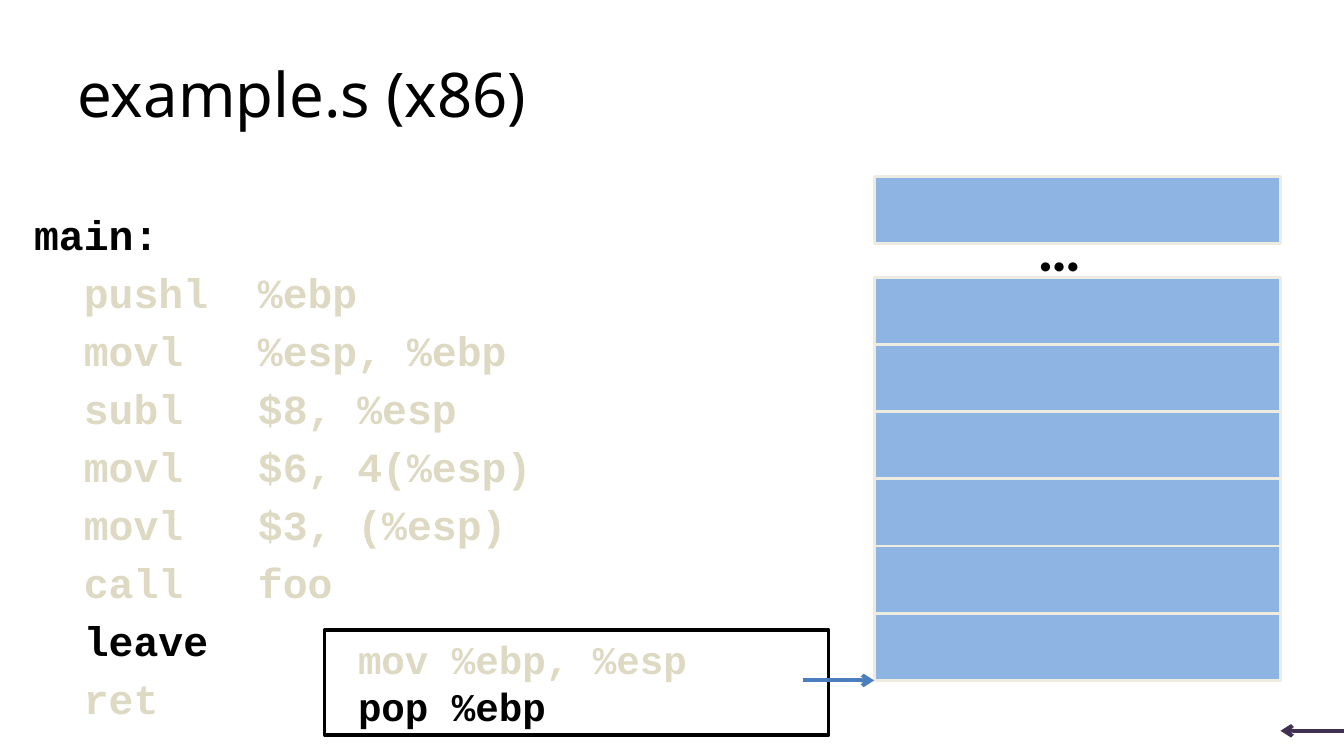
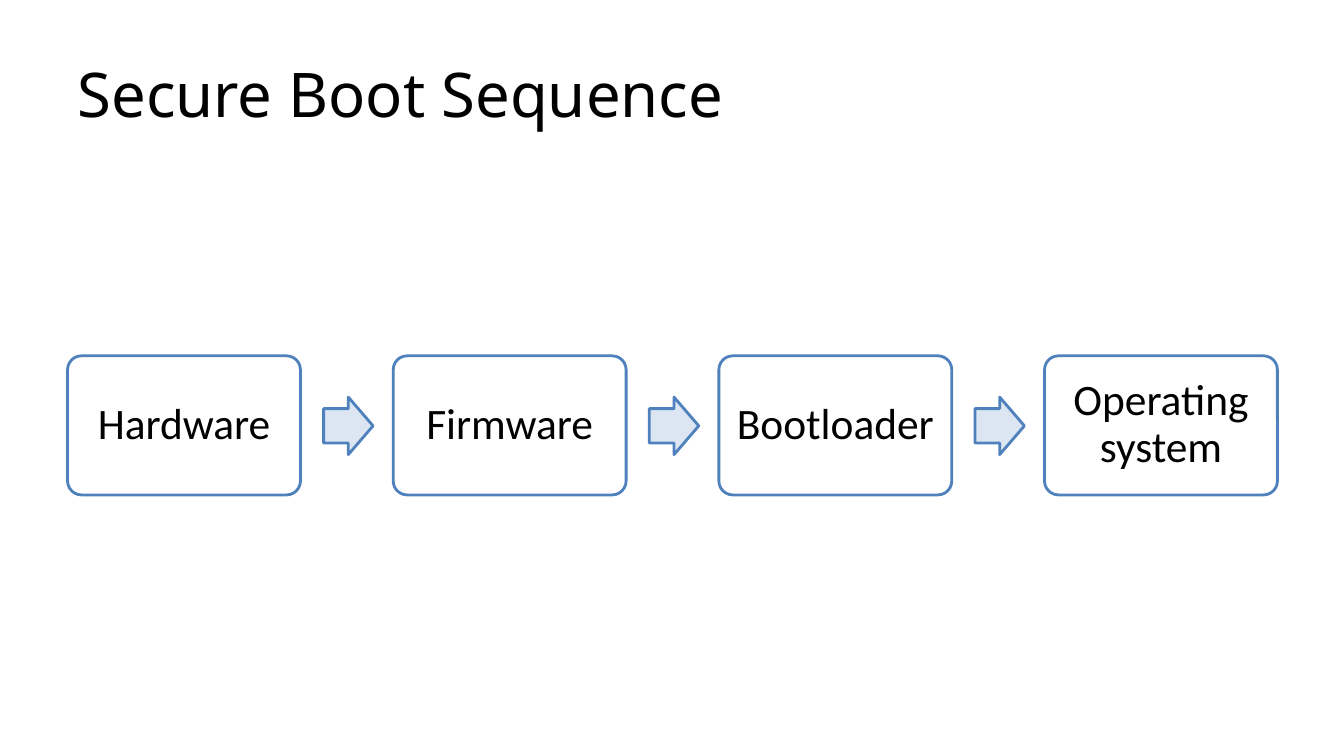
from dataclasses import dataclass

from lxml.etree import SubElement
from pptx import Presentation
from pptx.dml.color import RGBColor
from pptx.enum.shapes import MSO_CONNECTOR, MSO_SHAPE
from pptx.enum.text import MSO_ANCHOR, PP_ALIGN
from pptx.oxml.ns import qn
from pptx.util import Inches, Pt


@dataclass(frozen=True)
class Theme:
    ink: str = "000000"
    paper: str = "FFFFFF"
    muted: str = "DDD9C3"
    stack_fill: str = "8EB4E3"
    stack_line: str = "EEECE1"
    pointer: str = "4B7EBC"
    base_pointer: str = "403152"
    step_line: str = "4F81BD"
    step_arrow: str = "DCE6F2"
    title_font: str = "Noto Sans"
    body_font: str = "Calibri"
    code_font: str = "Courier New"
    title_size: float = 44
    code_size: float = 29.6
    detail_size: float = 28
    step_size: float = 31


THEME = Theme()

CODE_LINES = [
    "main:",
    "  pushl  %ebp",
    "  movl   %esp, %ebp",
    "  subl   $8, %esp",
    "  movl   $6, 4(%esp)",
    "  movl   $3, (%esp)",
    "  call   foo",
    "  leave",
    "  ret",
]
DETAIL_LINES = [" mov %ebp, %esp", " pop %ebp"]
BOOT_STEPS = ["Hardware", "Firmware", "Bootloader", "Operating system"]


def color(value):
    return RGBColor.from_string(value)


def style_font(font, name, size, ink=THEME.ink, bold=False):
    font.name = name
    font.size = Pt(size)
    font.bold = bold
    font.color.rgb = color(ink)


def add_box(slide, kind, left, top, width, height, fill, line, line_width=2):
    shape = slide.shapes.add_shape(
        kind, Inches(left), Inches(top), Inches(width), Inches(height)
    )
    shape.shadow.inherit = False
    if fill:
        shape.fill.solid()
        shape.fill.fore_color.rgb = color(fill)
    else:
        shape.fill.background()
    shape.line.color.rgb = color(line)
    shape.line.width = Pt(line_width)
    return shape


def add_text(slide, text, left, top, width, height, name, size, bold=False):
    shape = slide.shapes.add_textbox(
        Inches(left), Inches(top), Inches(width), Inches(height)
    )
    frame = shape.text_frame
    frame.word_wrap = True
    frame.text = text
    style_font(frame.paragraphs[0].runs[0].font, name, size, bold=bold)
    return frame


def add_title(slide, text):
    frame = add_text(
        slide, text, 0.67, 0.3, 12, 1.25, THEME.title_font, THEME.title_size
    )
    frame.vertical_anchor = MSO_ANCHOR.MIDDLE


def fill_code(frame, lines, active, size, pitch):
    frame.text = "\n".join(lines)
    frame.word_wrap = True
    frame.vertical_anchor = MSO_ANCHOR.TOP
    for line, paragraph in zip(lines, frame.paragraphs):
        paragraph.alignment = PP_ALIGN.LEFT
        paragraph.line_spacing = Pt(pitch)
        ink = THEME.ink if line.strip() in active else THEME.muted
        style_font(paragraph.runs[0].font, THEME.code_font, size, ink, True)


def add_arrow(slide, start, end, y, ink):
    connector = slide.shapes.add_connector(
        MSO_CONNECTOR.STRAIGHT, Inches(start), Inches(y), Inches(end), Inches(y)
    )
    connector.line.color.rgb = color(ink)
    connector.line.width = Pt(2.75)
    SubElement(connector.line._get_or_add_ln(), qn("a:tailEnd"), type="arrow")
    SubElement(connector._element.spPr, qn("a:effectLst"))


def add_stack(slide, left, width):
    cell_height = 2 / 3
    tops = [1.75] + [2.75 + row * cell_height for row in range(6)]
    for top in tops:
        add_box(
            slide, MSO_SHAPE.RECTANGLE, left, top, width, cell_height,
            THEME.stack_fill, THEME.stack_line,
        )
    frame = add_text(
        slide, "…", 10.19, 2.03, 0.64, 0.84,
        THEME.body_font, THEME.title_size, True,
    )
    frame.word_wrap = False


def add_step(slide, text, left):
    shape = add_box(
        slide, MSO_SHAPE.ROUNDED_RECTANGLE, left, 3.53, 2.31, 1.38,
        THEME.paper, THEME.step_line,
    )
    shape.adjustments[0] = 0.1
    frame = shape.text_frame
    frame.word_wrap = True
    frame.vertical_anchor = MSO_ANCHOR.MIDDLE
    frame.text = text
    paragraph = frame.paragraphs[0]
    paragraph.alignment = PP_ALIGN.CENTER
    paragraph.line_spacing = 0.9
    style_font(paragraph.runs[0].font, THEME.body_font, THEME.step_size)


def add_step_arrow(slide, left):
    shape = add_box(
        slide, MSO_SHAPE.RIGHT_ARROW, left, 3.94, 0.49, 0.57,
        THEME.step_arrow, THEME.step_line,
    )
    shape.adjustments[0] = 0.6
    shape.adjustments[1] = 0.5


def build_code_slide(slide):
    stack_left, stack_width = 8.67, 4.03
    add_title(slide, "example.s (x86)")
    add_stack(slide, stack_left, stack_width)
    listing = add_text(
        slide, "main:", 0.24, 1.94, 8, 5.06, THEME.code_font, THEME.code_size
    )
    fill_code(listing, CODE_LINES, ("main:", "leave"), THEME.code_size, 41.4)
    detail = add_box(
        slide, MSO_SHAPE.RECTANGLE, 3.22, 6.25, 5, 1.04, None, THEME.ink, 2.5
    )
    fill_code(
        detail.text_frame, DETAIL_LINES, ("pop %ebp",), THEME.detail_size, 33.6
    )
    add_arrow(slide, 7.96, stack_left, 6.75, THEME.pointer)
    add_arrow(slide, 13.33, stack_left + stack_width, 7.25, THEME.base_pointer)


def build_boot_slide(slide):
    add_title(slide, "Secure Boot Sequence")
    for index, step in enumerate(BOOT_STEPS):
        left = 0.67 + index * 3.23
        add_step(slide, step, left)
        if index < len(BOOT_STEPS) - 1:
            add_step_arrow(slide, left + 2.54)


def main():
    presentation = Presentation()
    presentation.slide_width = Inches(13.33)
    presentation.slide_height = Inches(7.5)
    for build in (build_code_slide, build_boot_slide):
        build(presentation.slides.add_slide(presentation.slide_layouts[6]))
    presentation.save("out.pptx")


if __name__ == "__main__":
    main()
